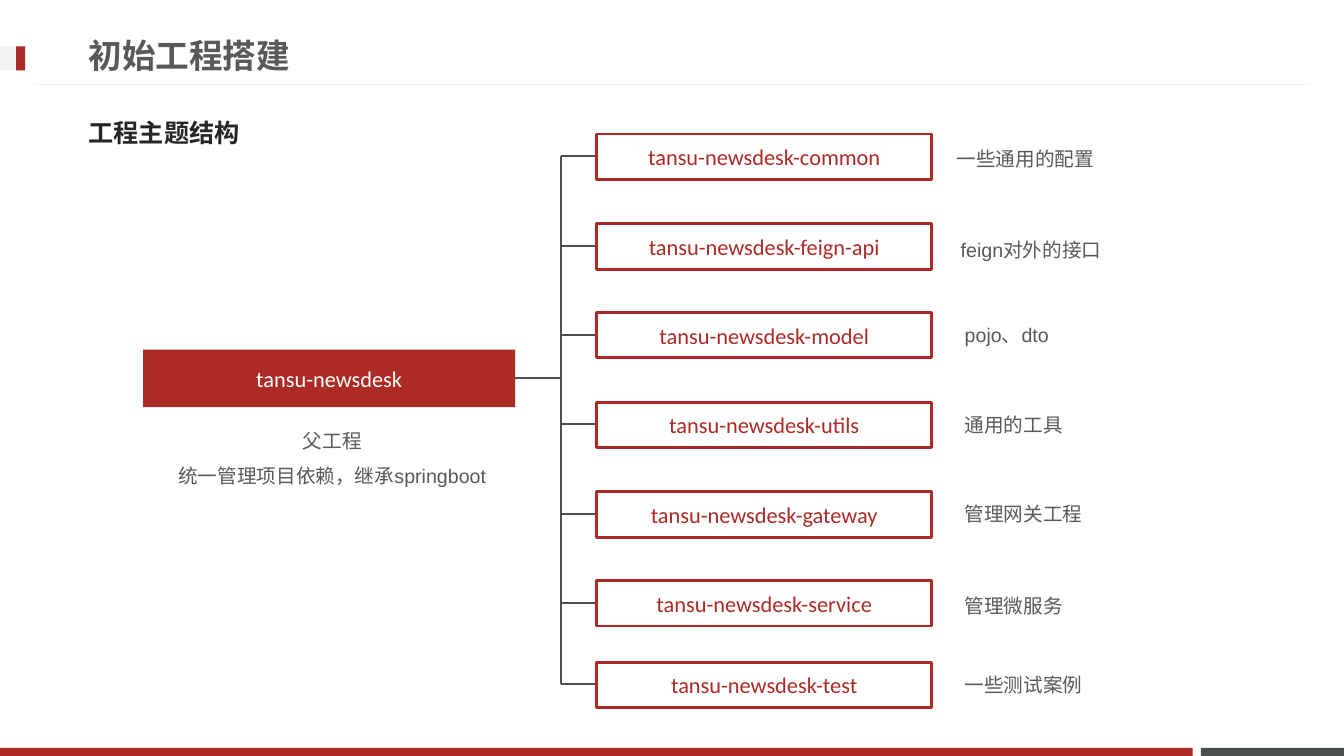
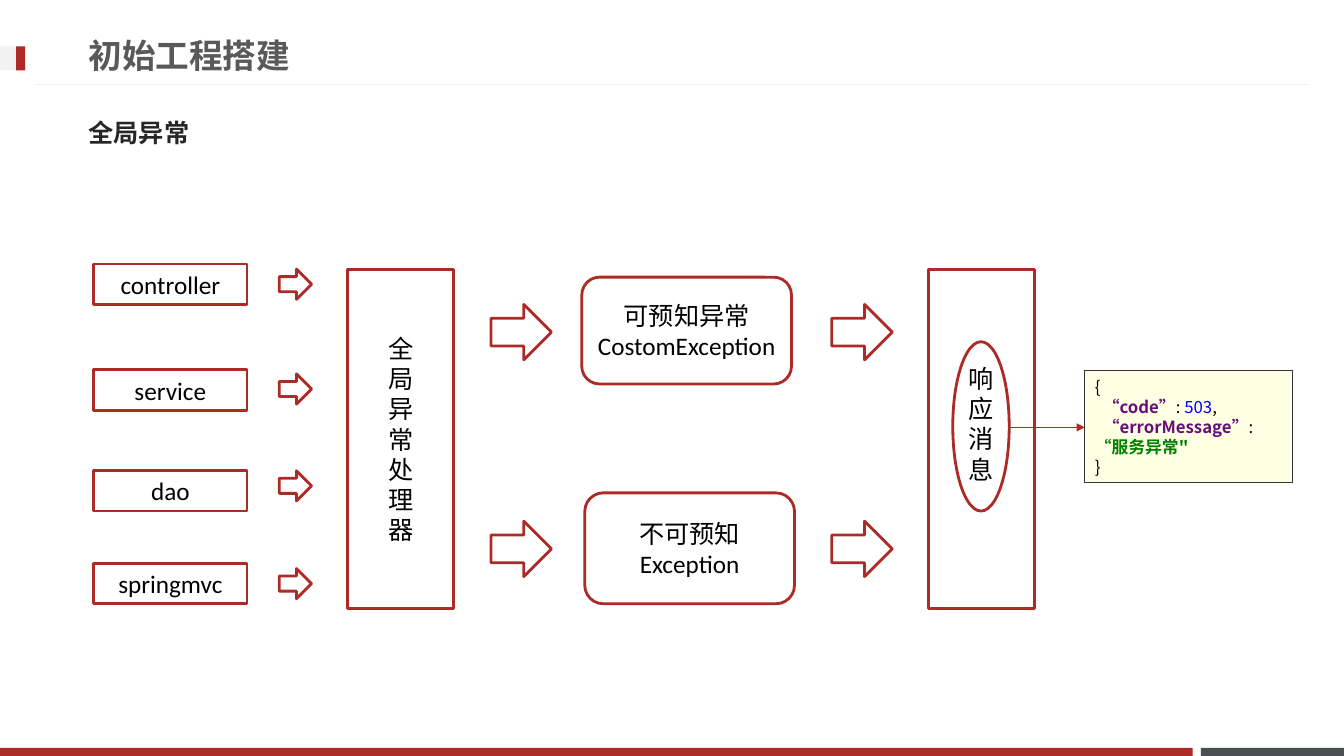
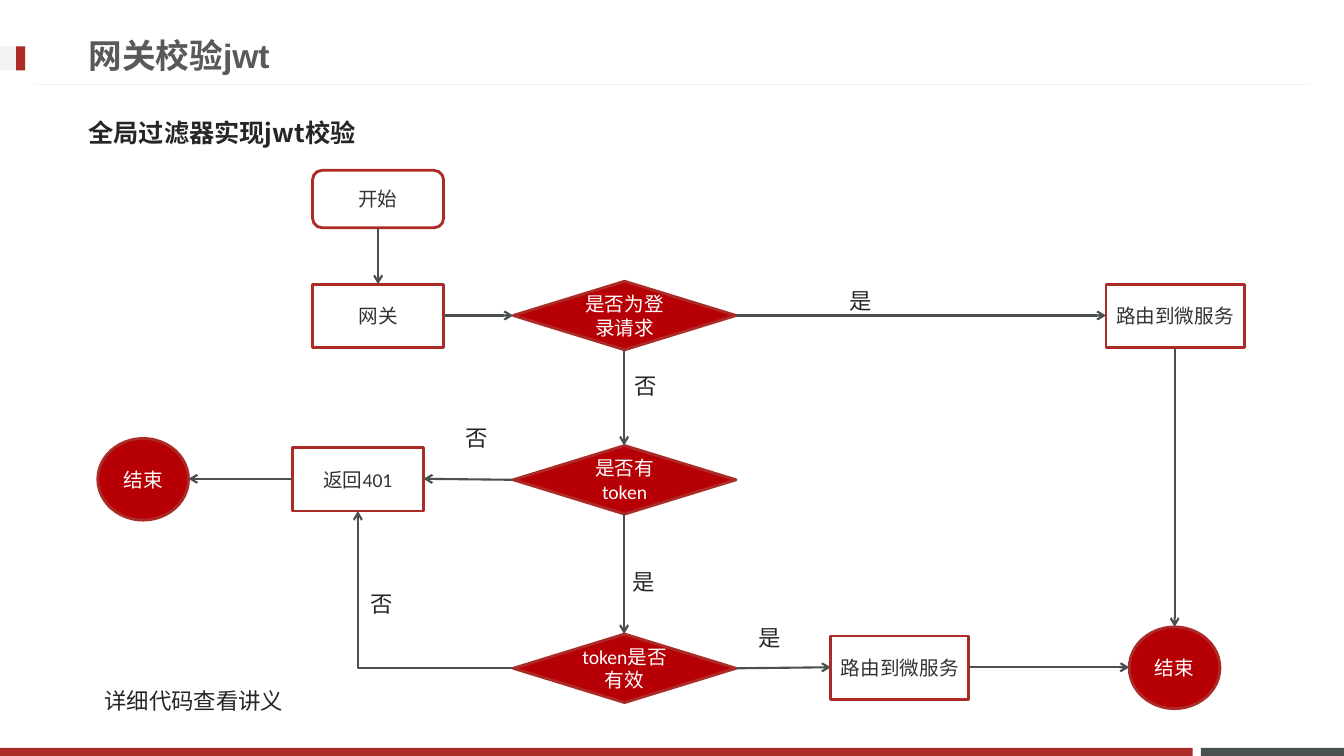
from dataclasses import dataclass
from lxml import etree
from pptx import Presentation
from pptx import util as u
from pptx.dml.color import RGBColor
from pptx.enum import shapes, text
from pptx.oxml import ns

PX = 9144
KIND = shapes.MSO_SHAPE
LINK = shapes.MSO_CONNECTOR
MID = text.MSO_ANCHOR.MIDDLE
TOP = text.MSO_ANCHOR.TOP
LEFT = text.PP_ALIGN.LEFT
MAIN = text.PP_ALIGN.CENTER


@dataclass(frozen=True)
class Theme:
    red: str = "AD2B26"
    deep: str = "B70006"
    slate: str = "49504F"
    pale: str = "F2F2F2"
    white: str = "FFFFFF"
    black: str = "000000"
    gray: str = "595959"
    ink: str = "262626"
    dark: str = "333333"
    cream: str = "FFFFE4"
    key: str = "660E7A"
    number: str = "0000FF"
    string: str = "008000"
    sans: str = "Arial"
    body: str = "Calibri"
    han: str = "Noto Sans CJK JP"
    mono: str = "Noto Sans CJK SC"
    title: int = 24
    head: int = 18
    node: int = 16
    note: int = 14
    code: int = 12
    thick: float = 2
    wire: float = 1.5
    thin: float = 0.75


T = Theme()


def color(code):
    return RGBColor.from_string(code)


def write(shape, words, size=T.head, face=T.body, tint=T.black, bold=False,
          align=MAIN, anchor=MID, pad=10, foot=5, wrap=True, lead=None, before=0, dent=0):
    frame = shape.text_frame
    frame.word_wrap = wrap
    frame.vertical_anchor = anchor
    frame.margin_left = frame.margin_right = pad * PX
    frame.margin_top, frame.margin_bottom = 5 * PX, foot * PX
    lines = words.split("\n") if isinstance(words, str) else words
    for i, line in enumerate(lines):
        para = frame.paragraphs[0] if i == 0 else frame.add_paragraph()
        para.alignment = align
        para.space_before = u.Pt(before)
        if lead:
            para.line_spacing = lead
        if dent and 0 < i < len(lines) - 1:
            para._p.get_or_add_pPr().set("indent", str(dent * PX))
        for part, hue, heavy in [(line, tint, bold)] if isinstance(line, str) else line:
            run = para.add_run()
            run.text = part
            font = run.font
            font.size, font.name, font.bold = u.Pt(size), face, heavy
            font.color.rgb = color(hue)
            east = etree.SubElement(run._r.get_or_add_rPr(), ns.qn("a:ea"))
            east.set("typeface", face)


class Pane:
    def __init__(self, slide, x, y, w, h):
        self.slide, self.x, self.y, self.w, self.h = slide, x, y, w, h

    def place(self, x, y, w, h):
        return [n * PX for n in (self.x + x, self.y + y, w, h)]

    def shape(self, kind, box, words="", fill=None, line=T.red, width=T.thick, **style):
        item = self.slide.shapes.add_shape(kind, *self.place(*box))
        item.shadow.inherit = False
        if fill:
            item.fill.solid()
            item.fill.fore_color.rgb = color(fill)
        else:
            item.fill.background()
        if line:
            item.line.color.rgb = color(line)
            item.line.width = u.Pt(width)
        else:
            item.line.fill.background()
        if words:
            write(item, words, **style)
        return item

    def text(self, box, words, **style):
        item = self.slide.shapes.add_textbox(*self.place(*box))
        write(item, words, **{"align": LEFT, **style})

    def line(self, start, end, tint=T.slate, width=T.wire, tip=None, bent=False):
        ends = self.place(*start, 0, 0)[:2] + self.place(*end, 0, 0)[:2]
        item = self.slide.shapes.add_connector(LINK.ELBOW if bent else LINK.STRAIGHT, *ends)
        item.line.color.rgb = color(tint)
        item.line.width = u.Pt(width)
        props = item._element.spPr
        if bent:
            props.find(ns.qn("a:prstGeom")).set("prst", "bentConnector2")
        if tip:
            etree.SubElement(item.line._get_or_add_ln(), ns.qn("a:tailEnd")).set("type", tip)
        etree.SubElement(props, ns.qn("a:effectLst"))


def frame(pane, title, head):
    base = pane.h - 8
    for box, fill in (((1191, base, 142, 8), T.slate), ((0, base, 1183, 8), T.red),
                      ((0, 46, 25, 24), T.pale), ((16, 46, 9, 24), T.red)):
        pane.shape(KIND.RECTANGLE, box, fill=fill, line=None)
    pane.line((1298, 84), (35, 84), tint=T.pale, width=T.thin)
    pane.text((78, 26, 959, 57), title, size=T.title, face=T.sans, tint=T.gray, bold=True)
    pane.text((78, 103, 1170, 57), head, face=T.han, tint=T.ink, bold=True)


def tree(pane):
    name = "tansu-newsdesk"
    rows = [
        (0, "common", 827, 8, "一些通用的配置"),
        (89, "feign-api", 831, 9, "feign对外的接口"),
        (177, "model", 835, 5, "pojo、dto"),
        (266, "utils", 835, 6, "通用的工具"),
        (355, "gateway", 835, 5, "管理网关工程"),
        (443, "service", 835, 8, "管理微服务"),
        (524, "test", 835, 6, "一些测试案例"),
    ]
    spine, left, half = 444, 480, 22
    pane.shape(KIND.RECTANGLE, (30, 214, 369, 57), name, fill=T.red, line=None,
               size=T.node, tint=T.white)
    pane.text((0, 276, 435, 77), "父工程\n统一管理项目依赖，继承springboot", size=T.note,
              face=T.sans, tint=T.gray, align=MAIN, anchor=TOP, lead=1.5)
    pane.line((399, 242), (spine, 242))
    pane.line((spine, rows[-1][0] + half), (spine, half))
    for top, part, x, drop, note in rows:
        pane.line((left, top + half), (spine, top + half))
        pane.shape(KIND.RECTANGLE, (left, top, 332, 45), f"{name}-{part}", fill=T.white,
                   size=T.node, tint=T.red)
        pane.text((x, top + drop, 170, 34), note, size=T.note, face=T.sans,
                  tint=T.gray, anchor=TOP, wrap=False)


def errors(pane):
    for part, y, tip in (("controller", 0, 5), ("service", 105, 109),
                         ("dao", 205, 205), ("springmvc", 297, 302)):
        pane.shape(KIND.RECTANGLE, (0, y, 152, 40), part)
        pane.shape(KIND.RIGHT_ARROW, (184, tip, 32, 30))
    pane.shape(KIND.RECTANGLE, (252, 5, 105, 337), "\n".join("全局异常处理器"))
    pane.shape(KIND.ROUNDED_RECTANGLE, (484, 13, 208, 106), "可预知异常CostomException")
    pane.shape(KIND.ROUNDED_RECTANGLE, (487, 227, 208, 110), "不可预知Exception")
    pane.shape(KIND.RECTANGLE, (828, 5, 105, 337), "\n".join("响应消息"), foot=35)
    for x in (394, 732):
        for y in (40, 255):
            pane.shape(KIND.RIGHT_ARROW, (x, y, 60, 55))
    reply = [
        "{",
        [("“code”", T.key, True), (": ", T.black, False),
         ("503", T.number, False), (",", T.black, False)],
        [("“errorMessage”", T.key, True), (": ", T.black, False),
         ("“服务异常\"", T.string, True)],
        "}",
    ]
    pane.shape(KIND.RECTANGLE, (983, 106, 206, 111), reply, fill=T.cream, line=T.dark,
               width=T.thin, size=T.code, face=T.mono, align=LEFT, lead=u.Pt(14.4), dent=8)
    pane.shape(KIND.OVAL, (852, 77, 56, 168))
    pane.line((908, 162), (983, 162), tint=T.red, width=T.thin, tip="triangle")


def edge(box, side):
    x, y, w, h = box
    return {"l": (x, y + h // 2), "r": (x + w, y + h // 2),
            "t": (x + w // 2, y), "b": (x + w // 2, y + h)}[side]


def flow(pane):
    step, test, stop = KIND.RECTANGLE, KIND.FLOWCHART_DECISION, KIND.OVAL
    nodes = {
        "start": (KIND.ROUNDED_RECTANGLE, (216, 0, 130, 57), "开始"),
        "gate": (step, (216, 113, 130, 63), "网关"),
        "deny": (step, (196, 275, 130, 63), "返回401"),
        "end": (stop, (3, 266, 90, 81), "结束"),
        "login": (test, (415, 110, 221, 68), "是否为登录请求"),
        "token": (test, (415, 273, 221, 68), "是否有token"),
        "valid": (test, (415, 460, 221, 68), "token是否有效"),
        "pass": (step, (730, 462, 137, 63), "路由到微服务"),
        "route": (step, (1003, 113, 137, 63), "路由到微服务"),
        "done": (stop, (1026, 453, 90, 81), "结束"),
    }
    for kind, box, words in nodes.values():
        solid = kind in (test, stop)
        pane.shape(kind, box, words, fill=T.deep if solid else None, size=T.note,
                   tint=T.white if solid else T.dark, pad=5 if kind == step else 10)
    for first, out, last, into in (
            ("start", "b", "gate", "t"), ("gate", "r", "login", "l"),
            ("login", "b", "token", "t"), ("token", "b", "valid", "t"),
            ("login", "r", "route", "l"), ("route", "b", "done", "t"),
            ("token", "l", "deny", "r"), ("deny", "l", "end", "r"),
            ("valid", "r", "pass", "l"), ("pass", "r", "done", "l"),
            ("valid", "l", "deny", "b")):
        pane.line(edge(nodes[first][1], out), edge(nodes[last][1], into), tip="arrow",
                  bent=(out, into) == ("l", "b"))
    for x, y, words in ((0, 494, "详细代码查看讲义"), (264, 398, "否"), (739, 98, "是"),
                        (358, 234, "否"), (525, 182, "否"), (523, 376, "是"),
                        (648, 432, "是")):
        pane.text((x, y, 257 if len(words) > 1 else 48, 62), words, size=T.node,
                  face=T.han, tint=T.ink, anchor=TOP, lead=1.5, before=3.2)


def main():
    deck = Presentation()
    wide, high = 1333, 750
    deck.slide_width, deck.slide_height = wide * PX, high * PX
    for title, head, draw, box in (
            ("初始工程搭建", "工程主题结构", tree, (112, 133, 1136, 569)),
            ("初始工程搭建", "全局异常", errors, (93, 262, 1189, 342)),
            ("网关校验jwt", "全局过滤器实现jwt校验", flow, (94, 169, 1140, 534))):
        slide = deck.slides.add_slide(deck.slide_layouts[6])
        frame(Pane(slide, 0, 0, wide, high), title, head)
        draw(Pane(slide, *box))
    deck.save("out.pptx")


if __name__ == "__main__":
    main()
